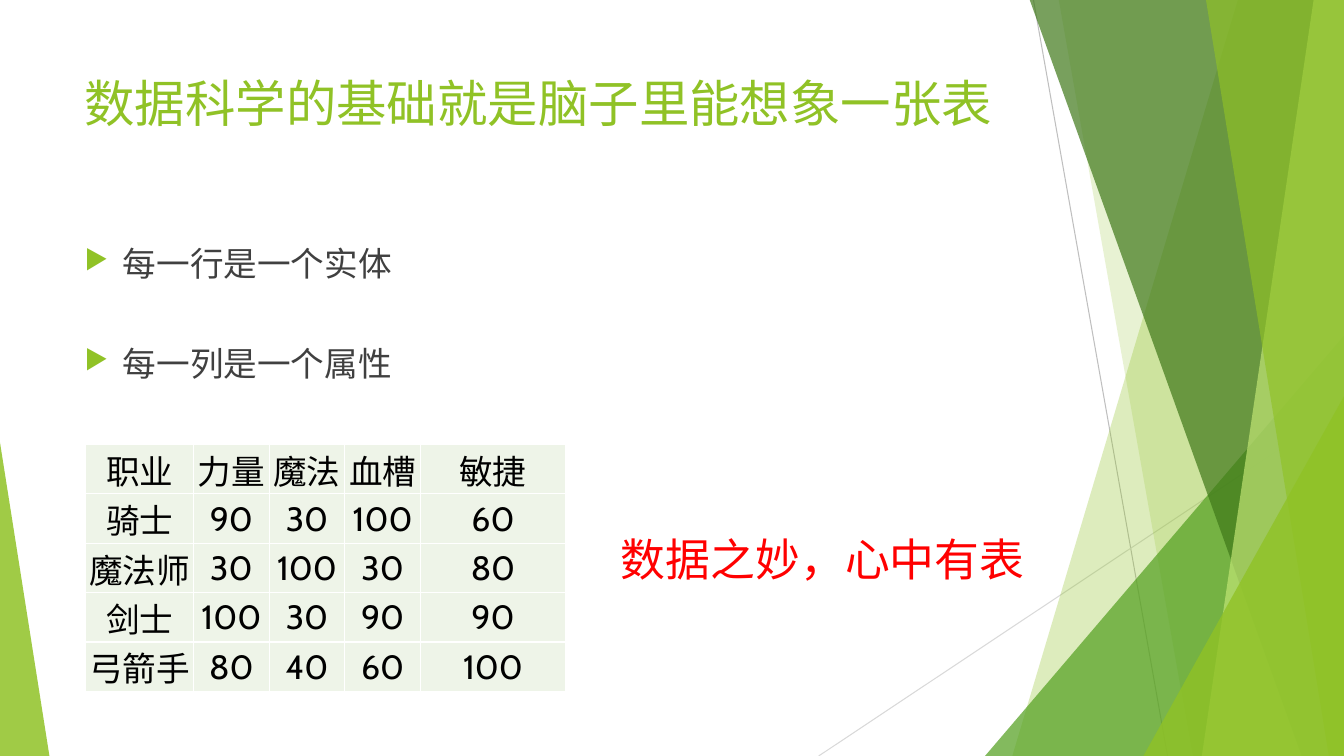
from dataclasses import dataclass

import pptx
import pptx.dml.color
import pptx.enum.shapes
import pptx.enum.text
import pptx.oxml
import pptx.oxml.ns
import pptx.util
from pptx.util import Inches

WIDTH, HEIGHT, TOP = 13.33, 7.5, -0.01
FONT, GREEN = "Cabin", "90C226"
NAMESPACE = pptx.oxml.ns.nsdecls("a")


@dataclass
class Ray:
    start: tuple[float, float]
    end: tuple[float, float]
    color: str


@dataclass
class Facet:
    """Panel running from a slanted left edge to the right slide edge."""
    top_x: float
    bottom_x: float
    color: str
    opacity: int


@dataclass
class Wedge:
    """Triangle standing on the bottom slide edge."""
    left: float
    top: float
    width: float
    apex: float
    color: str
    opacity: int


@dataclass
class Line:
    text: str
    size: int
    color: str
    space_before: int = 0
    bullet: bool = False


RAYS = [
    Ray((10.25, 0), (11.58, HEIGHT), "BFBFBF"),
    Ray((WIDTH, 4.03), (8.12, HEIGHT), "D9D9D9"),
]
PANELS = [
    Facet(12.28, 10.04, GREEN, 30),
    Facet(10.5, 11.83, GREEN, 20),
    Wedge(9.77, 3.33, 3.56, 1, "54A021", 72),
    Facet(10.21, 12.91, "3F7819", 70),
    Facet(13.03, 11.92, "C0E474", 70),
    Facet(11.96, 13.18, GREEN, 65),
    Wedge(11.34, 3.93, 1.99, 1, GREEN, 80),
    Wedge(0, 4.39, 0.49, 0, GREEN, 85),
]
CLASS_ROWS = [
    ["职业", "力量", "魔法", "血槽", "敏捷"],
    ["骑士", "90", "30", "100", "60"],
    ["魔法师", "30", "100", "30", "80"],
    ["剑士", "100", "30", "90", "90"],
    ["弓箭手", "80", "40", "60", "100"],
]
COLUMN_WIDTHS = [1.07, 0.75, 0.75, 0.75, 1.44]
ROW_HEIGHT = 0.49


def rgb(color: str) -> pptx.dml.color.RGBColor:
    return pptx.dml.color.RGBColor.from_string(color)


def set_format(target, values: dict) -> None:
    for name, value in values.items():
        setattr(target, name, value)


def add_ray(page, ray: Ray) -> None:
    points = [Inches(value) for value in ray.start + ray.end]
    line = page.shapes.add_connector(pptx.enum.shapes.MSO_CONNECTOR.STRAIGHT, *points)
    line.line.color.rgb = rgb(ray.color)
    line.line.width = pptx.util.Pt(0.75)
    line.element.spPr.append(pptx.oxml.parse_xml(f"<a:effectLst {NAMESPACE}/>"))


def add_panel(page, panel: Facet | Wedge) -> None:
    if isinstance(panel, Facet):
        outline = page.shapes.build_freeform(Inches(panel.top_x), Inches(TOP))
        corners = [(WIDTH, TOP), (WIDTH, HEIGHT), (panel.bottom_x, HEIGHT)]
        outline.add_line_segments([(Inches(x), Inches(y)) for x, y in corners])
        shape = outline.convert_to_shape()
    else:
        shape = page.shapes.add_shape(
            pptx.enum.shapes.MSO_SHAPE.ISOSCELES_TRIANGLE, Inches(panel.left),
            Inches(panel.top), Inches(panel.width), Inches(HEIGHT - panel.top))
        shape.adjustments[0] = panel.apex
    shape.shadow.inherit = False
    shape.line.fill.background()
    shape.fill.solid()
    shape.fill.fore_color.rgb = rgb(panel.color)
    color = shape.element.spPr.find(pptx.oxml.ns.qn("a:solidFill"))[0]
    color.append(pptx.oxml.parse_xml(f'<a:alpha {NAMESPACE} val="{panel.opacity * 1000}"/>'))


def add_bullet(para) -> None:
    properties = para._p.get_or_add_pPr()
    properties.set("marL", str(Inches(0.38)))
    properties.set("indent", str(Inches(-0.38)))
    for xml in (f'<a:buClr {NAMESPACE}><a:srgbClr val="{GREEN}"/></a:buClr>',
                f'<a:buSzPct {NAMESPACE} val="80000"/>',
                f'<a:buChar {NAMESPACE} char="▶"/>'):
        properties.append(pptx.oxml.parse_xml(xml))


def write_line(para, line: Line) -> None:
    span = para.add_run()
    span.text = line.text
    set_format(span.font, {"name": FONT, "size": pptx.util.Pt(line.size)})
    span.font.color.rgb = rgb(line.color)
    if line.space_before:
        para.space_before = pptx.util.Pt(line.space_before)
    if line.bullet:
        add_bullet(para)


def add_text(page, place: tuple[float, float, float, float], lines: list[Line]) -> None:
    box = page.shapes.add_textbox(*[Inches(value) for value in place])
    frame = box.text_frame
    frame.word_wrap = True
    for index, line in enumerate(lines):
        write_line(frame.add_paragraph() if index else frame.paragraphs[0], line)


def fill_cell(cell, text: str) -> None:
    edge = Inches(0.01)
    set_format(cell, {
        "margin_left": edge, "margin_right": edge, "margin_top": edge, "margin_bottom": 0,
        "vertical_anchor": pptx.enum.text.MSO_ANCHOR.MIDDLE,
    })
    for side in "LRTB":
        cell._tc.get_or_add_tcPr().append(pptx.oxml.parse_xml(
            f'<a:ln{side} {NAMESPACE} w="12700"><a:solidFill>'
            f'<a:srgbClr val="FFFFFF"/></a:solidFill></a:ln{side}>'))
    cell.fill.solid()
    cell.fill.fore_color.rgb = rgb("EEF4E8")
    para = cell.text_frame.paragraphs[0]
    para.alignment = pptx.enum.text.PP_ALIGN.CENTER
    write_line(para, Line(text, 24, "000000"))


def add_class_table(page, left: float, top: float) -> None:
    table = page.shapes.add_table(
        len(CLASS_ROWS), len(COLUMN_WIDTHS), Inches(left), Inches(top),
        Inches(sum(COLUMN_WIDTHS)), Inches(ROW_HEIGHT * len(CLASS_ROWS))).table
    set_format(table, {"first_row": False, "horz_banding": False})
    for column, width in zip(table.columns, COLUMN_WIDTHS):
        column.width = Inches(width)
    for row, texts in zip(table.rows, CLASS_ROWS):
        row.height = Inches(ROW_HEIGHT)
        for cell, text in zip(row.cells, texts):
            fill_cell(cell, text)


def main() -> None:
    deck = pptx.Presentation()
    set_format(deck, {"slide_width": Inches(WIDTH), "slide_height": Inches(HEIGHT)})
    page = deck.slides.add_slide(deck.slide_layouts[6])

    # Green backdrop
    for ray in RAYS:
        add_ray(page, ray)
    for panel in PANELS:
        add_panel(page, panel)

    # Title and bullets
    add_text(page, (0.74, 0.67, 9.4, 1.44),
             [Line("数据科学的基础就是脑子里能想象一张表", 36, GREEN)])
    add_text(page, (0.74, 2.36, 9.4, 4.24), [
        Line("每一行是一个实体", 24, "404040", 10, True),
        Line("每一列是一个属性", 24, "404040", 43, True),
    ])

    # Table and closing remark
    add_class_table(page, 0.85, 4.41)
    add_text(page, (6.06, 5.23, 4.45, 0.64), [Line("数据之妙，心中有表", 32, "FF0000")])

    deck.save("out.pptx")


if __name__ == "__main__":
    main()
